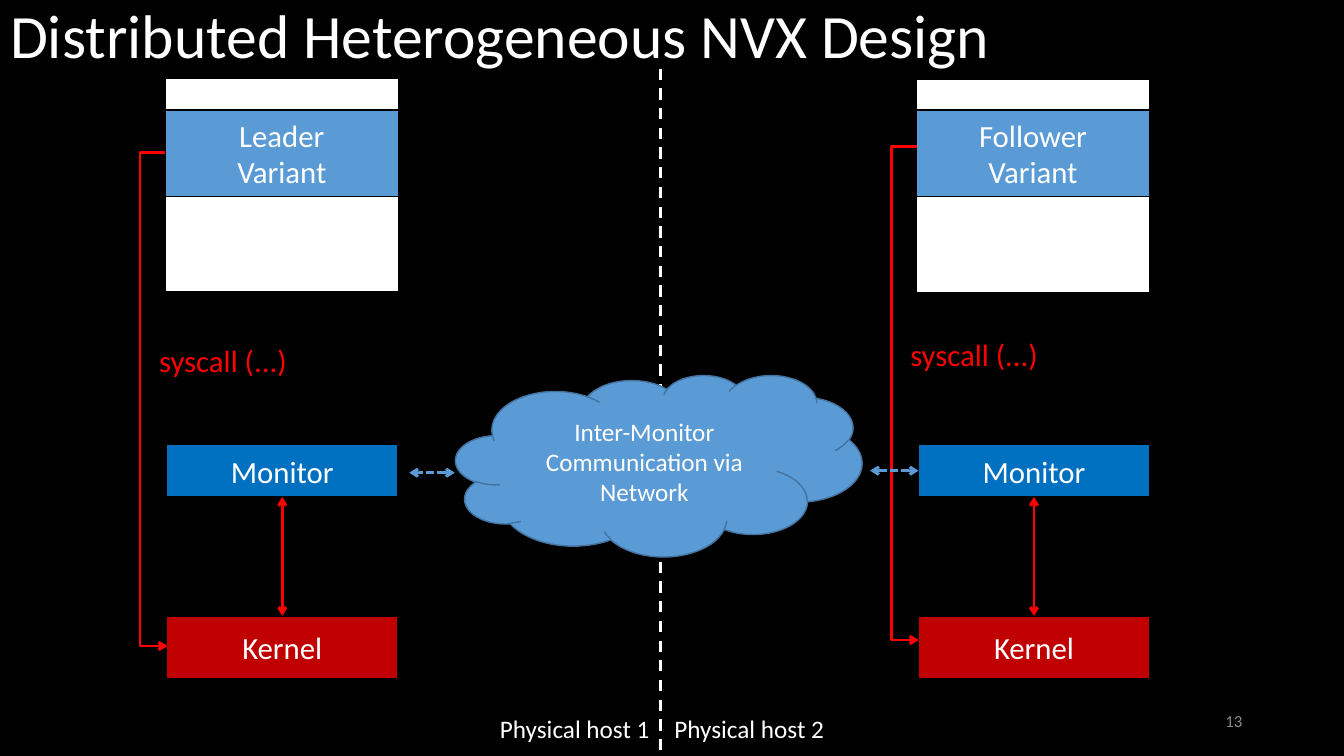
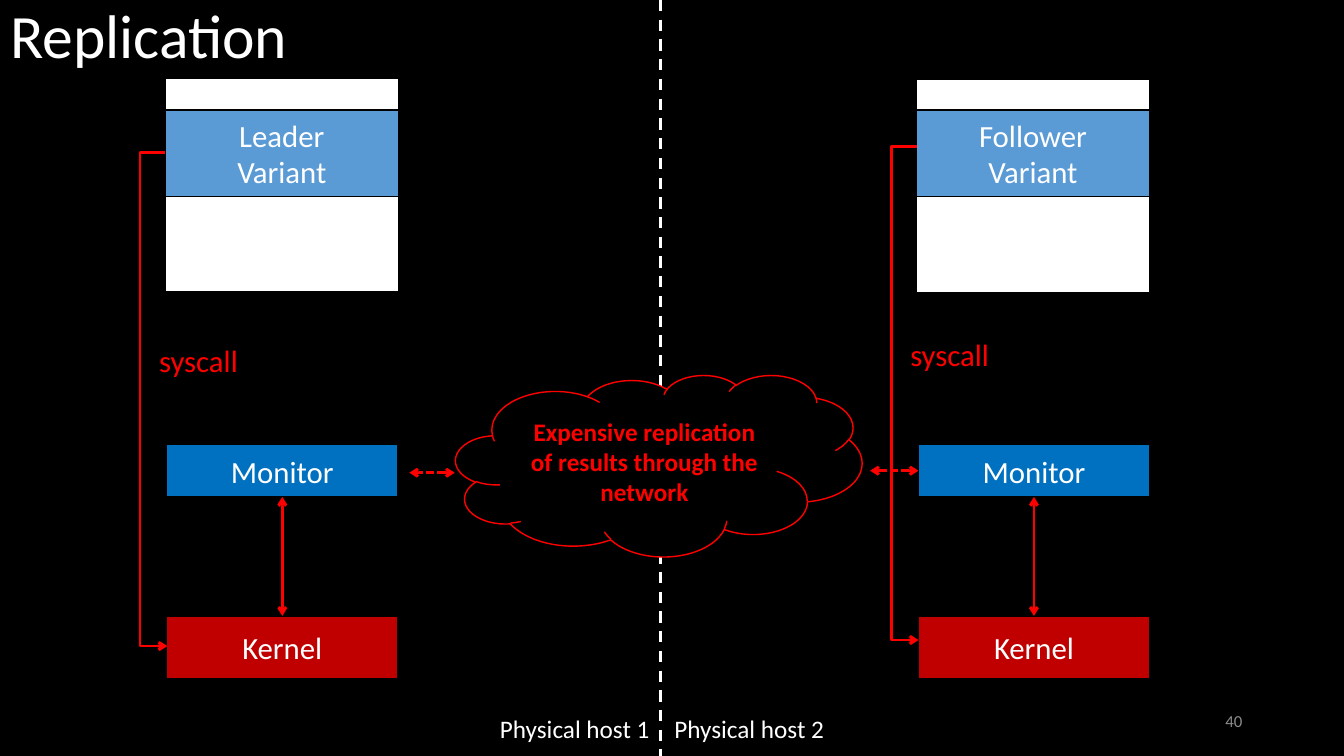
from pptx import Presentation
from pptx.dml.color import RGBColor
from pptx.enum.dml import MSO_LINE_DASH_STYLE as Dash
from pptx.enum.shapes import MSO_CONNECTOR as Connector, MSO_SHAPE as Shape
from pptx.enum.text import MSO_ANCHOR as Anchor, MSO_AUTO_SIZE as AutoSize, PP_ALIGN as Align
from pptx.oxml.ns import qn
from pptx.util import Inches, Pt
from lxml.etree import SubElement

BLACK, WHITE, GREY = "000000", "FFFFFF", "8C8C8C"
BLUE, DARK_BLUE, CLOUD_EDGE = "5B9BD5", "0070C0", "43739E"
RED, DARK_RED = "FF0000", "C00000"


def color(hex_code):
    """Turn a hex string into a colour."""
    return RGBColor.from_string(hex_code)


class Deck:
    """Hold the shared style and the current slide."""

    font = "Calibri"
    divider_x = 6.55
    divider_end = 7.73

    def __init__(self):
        """Start a wide black presentation."""
        self.prs = Presentation()
        self.prs.slide_width, self.prs.slide_height = Inches(13.33), Inches(7.5)
        background = self.prs.slide_master.background.fill
        background.solid()
        background.fore_color.rgb = color(BLACK)

    def set_text(self, frame, text, size, hex_code, align=Align.LEFT, bold=False):
        """Fill a text frame and format its runs."""
        frame.text = text
        for paragraph in frame.paragraphs:
            paragraph.alignment = align
            for run in paragraph.runs:
                run.font.name, run.font.size, run.font.bold = self.font, Pt(size), bold
                run.font.color.rgb = color(hex_code)

    def start(self, title, number):
        """Add a slide with its title and number."""
        self.slide = self.prs.slides.add_slide(self.prs.slide_layouts[5])
        heading = self.slide.shapes.title
        heading.left, heading.top = Inches(0), Inches(0)
        heading.width, heading.height = Inches(12.05), Inches(1.45)
        frame = heading.text_frame
        self.set_text(frame, title, 44, WHITE)
        frame.auto_size, frame.vertical_anchor = AutoSize.NONE, Anchor.TOP
        frame.paragraphs[0].line_spacing = 0.9
        self.label(number, 9.42, 6.95, 3, 0.4, 12, GREY, Align.RIGHT, Anchor.MIDDLE)

    def label(self, text, x, y, w, h, size, hex_code, align=Align.LEFT,
              anchor=Anchor.TOP, wrap=True):
        """Add free text."""
        box = self.slide.shapes.add_textbox(Inches(x), Inches(y), Inches(w), Inches(h))
        box.text_frame.word_wrap, box.text_frame.vertical_anchor = wrap, anchor
        self.set_text(box.text_frame, text, size, hex_code, align)

    def block(self, x, y, w, h, fill, text="", edge=BLACK, kind=Shape.RECTANGLE,
              size=22, ink=WHITE, bold=False):
        """Add a filled shape with centred text."""
        shape = self.slide.shapes.add_shape(kind, Inches(x), Inches(y), Inches(w), Inches(h))
        shape.shadow.inherit = False
        shape.fill.solid()
        shape.fill.fore_color.rgb = color(fill)
        shape.line.color.rgb, shape.line.width = color(edge), Pt(1)
        if text:
            shape.text_frame.word_wrap = True
            shape.text_frame.vertical_anchor = Anchor.MIDDLE
            self.set_text(shape.text_frame, text, size, ink, Align.CENTER, bold)
        return shape

    def line(self, x1, y1, x2, y2, hex_code, kind=Connector.STRAIGHT, dash=None, ends=()):
        """Add a connector with arrowheads at the named ends."""
        link = self.slide.shapes.add_connector(
            kind, Inches(x1), Inches(y1), Inches(x2), Inches(y2))
        link.line.color.rgb, link.line.width = color(hex_code), Pt(2)
        if dash:
            link.line.dash_style = dash
        properties = link._element.spPr
        for end in ends:
            SubElement(properties.find(qn("a:ln")), qn(f"a:{end}"), type="arrow")
        SubElement(properties, qn("a:effectLst"))
        return link

    def double_arrow(self, x1, y1, x2, y2, hex_code, dash=None):
        """Add a straight line with two arrowheads."""
        return self.line(x1, y1, x2, y2, hex_code, dash=dash, ends=("headEnd", "tailEnd"))

    def bracket(self, x, y, height, reach=0.25, step=0.02):
        """Add an elbow arrow that reaches out to the left."""
        elbow = self.line(x, y, x + step, y + height, RED, Connector.ELBOW, ends=("tailEnd",))
        guides = elbow._element.spPr.find(qn("a:prstGeom")).get_or_add_avLst()
        SubElement(guides, qn("a:gd"), name="adj1", fmla=f"val {round(-reach / step * 100000)}")

    def host(self, role, call, x, block_x, block_w, process_y, call_y):
        """Draw one host's stack and return its monitor."""
        self.block(x, process_y, 2.31, 2.11, WHITE)
        self.block(x, 1.09, 2.31, 0.86, BLUE, f"{role}\nVariant")
        monitor = self.block(block_x, 4.41, block_w, 0.52, DARK_BLUE, "Monitor")
        kernel = self.block(block_x, 6.11, block_w, 0.62, DARK_RED, "Kernel")
        self.label(call, x - 0.16, call_y + 1.83, 1.48, 0.47, 22, RED)
        self.bracket(x, call_y, 4.9)
        middle = block_x + block_w / 2
        trap = self.double_arrow(middle, 6.11, middle, 4.93, RED)
        trap.begin_connect(kernel, 0)
        trap.end_connect(monitor, 2)
        return monitor

    def design(self, title, number, call, divider_y, message, fill, edge, ink, link, bold):
        """Build a slide with two hosts joined by a network cloud."""
        self.start(title, number)
        self.host("Leader", call, 1.64, 1.65, 2.3, 0.78, 1.51)
        follower_monitor = self.host("Follower", call, 9.09, 9.11, 2.29, 0.79, 1.45)
        for host_name, x in (("Physical host 1", 4.86), ("Physical host 2", 6.59)):
            self.label(host_name, x, 7.03, 1.72, 0.4, 18, WHITE)
        self.line(self.divider_x, divider_y, self.divider_x, self.divider_end, WHITE,
                  dash=Dash.DASH)
        self.block(4.52, 3.72, 4.03, 1.8, fill, message, edge, Shape.CLOUD, 18, ink, bold)
        self.double_arrow(4.51, 4.69, 4.06, 4.69, link, Dash.SQUARE_DOT)
        follower_link = self.double_arrow(9.11, 4.67, 8.63, 4.67, link, Dash.SQUARE_DOT)
        follower_link.begin_connect(follower_monitor, 1)


def main():
    """Build and save the two slides."""
    deck = Deck()
    deck.design("Distributed Heterogeneous NVX Design", "13", "syscall (...)", 0.68,
                "Inter-Monitor Communication via Network",
                BLUE, CLOUD_EDGE, WHITE, BLUE, False)
    deck.design("Replication", "40", "syscall", 0,
                "Expensive replication of results through the network",
                BLACK, RED, RED, RED, True)
    deck.prs.save("out.pptx")


if __name__ == "__main__":
    main()
